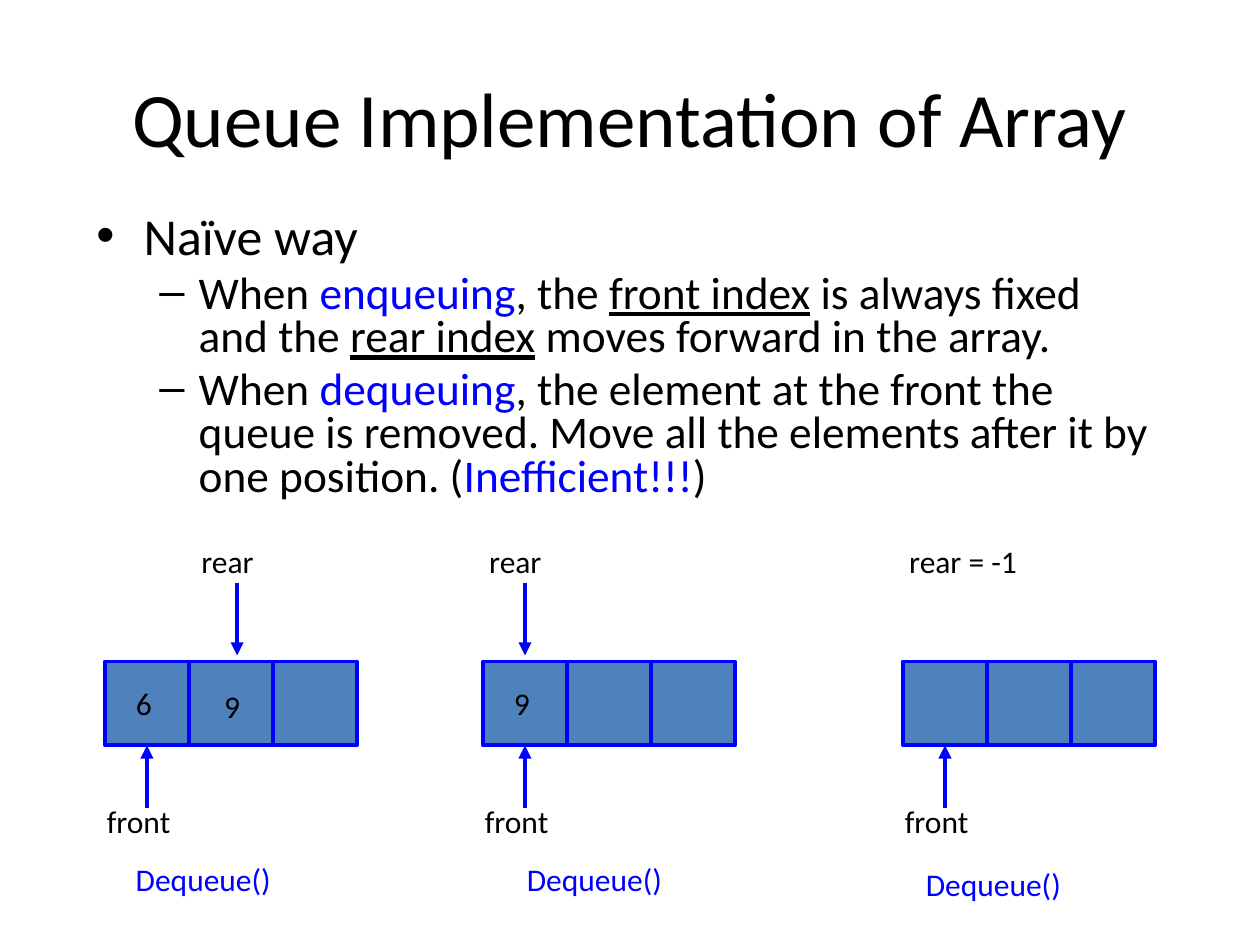
from pptx import Presentation
from pptx.dml.color import RGBColor
from pptx.enum.shapes import MSO_CONNECTOR, MSO_SHAPE
from pptx.enum.text import MSO_ANCHOR, PP_ALIGN
from pptx.oxml.ns import qn
from pptx.util import Pt
from lxml.etree import SubElement

BLACK = RGBColor(0, 0, 0)
BLUE = RGBColor(0, 0, 255)
STEEL = RGBColor(0x4F, 0x81, 0xBD)
FONT = "Calibri"
CELL = 48
TOP = 378

POINTS = [
    (0, [("Naïve way", BLACK, False)]),
    (1, [("When ", BLACK, False), ("enqueuing", BLUE, False),
         (", the ", BLACK, False), ("front index", BLACK, True),
         (" is always fixed and the ", BLACK, False),
         ("rear index", BLACK, True),
         (" moves forward in the array.", BLACK, False)]),
    (1, [("When ", BLACK, False), ("dequeuing", BLUE, False),
         (", the element at the front the queue is removed. "
          "Move all the elements after it by one position. (", BLACK, False),
         ("Inefficient!!!", BLUE, False), (")", BLACK, False)]),
]
LEVELS = [(29.6, "•", 27, -27), (25.9, "–", 58.5, -22.5)]


def add_run(para, text, size, color=BLACK, under=False):
    run = para.add_run()
    run.text = text
    font = run.font
    font.name, font.size = FONT, Pt(size)
    font.color.rgb = color
    if under:
        font.underline = True


def add_title(slide, text):
    title = slide.shapes.title
    title.left, title.top = Pt(36), Pt(21.6)
    title.width, title.height = Pt(648), Pt(90)
    frame = title.text_frame
    frame.vertical_anchor = MSO_ANCHOR.MIDDLE
    para = frame.paragraphs[0]
    para.alignment = PP_ALIGN.CENTER
    add_run(para, text, 44)


def add_frame(slide, x, y, width, height):
    box = slide.shapes.add_textbox(Pt(x), Pt(y), Pt(width), Pt(height))
    box.text_frame.word_wrap = True
    return box.text_frame


def add_points(slide):
    frame = add_frame(slide, 48, 120, 618, 180)
    for i, (level, runs) in enumerate(POINTS):
        para = frame.add_paragraph() if i else frame.paragraphs[0]
        size, mark, margin, indent = LEVELS[level]
        para.level = level
        para.line_spacing = 0.8
        if i:
            para.space_before = Pt(5)
        props = para._p.get_or_add_pPr()
        props.set("marL", str(Pt(margin)))
        props.set("indent", str(Pt(indent)))
        SubElement(props, qn("a:buFont")).set("typeface", "Arial")
        SubElement(props, qn("a:buChar")).set("char", mark)
        for text, color, under in runs:
            add_run(para, text, size, color, under)


def add_label(slide, text, x, y, width=78, color=BLACK):
    frame = add_frame(slide, x, y, width, 31)
    add_run(frame.paragraphs[0], text, 18, color)


def add_arrow(slide, x, start, end):
    arrow = slide.shapes.add_connector(
        MSO_CONNECTOR.STRAIGHT, Pt(x), Pt(start), Pt(x), Pt(end))
    arrow.line.color.rgb = BLUE
    arrow.line.width = Pt(2.5)
    line = arrow.line._get_or_add_ln()
    SubElement(line, qn("a:tailEnd")).set("type", "triangle")
    SubElement(arrow._element.spPr, qn("a:effectLst"))


def add_cell(slide, x):
    cell = slide.shapes.add_shape(
        MSO_SHAPE.RECTANGLE, Pt(x), Pt(TOP), Pt(CELL), Pt(CELL))
    cell.shadow.inherit = False
    cell.fill.solid()
    cell.fill.fore_color.rgb = STEEL
    cell.line.color.rgb = BLUE
    cell.line.width = Pt(2.25)


def add_queue(slide, x, values):
    for i in range(3):
        add_cell(slide, x + i * CELL)
    for text, left, y in values:
        add_label(slide, text, x + left, y, 24)
    add_label(slide, "front", x - 6, 455)
    add_arrow(slide, x + CELL / 2, 462, TOP + CELL)


def add_rear(slide, x, tip):
    add_label(slide, "rear", x, 306)
    add_arrow(slide, tip, 333, 374.5)


def main():
    deck = Presentation()
    deck.slide_width, deck.slide_height = Pt(720), Pt(540)
    slide = deck.slides.add_slide(deck.slide_layouts[5])
    add_title(slide, "Queue Implementation of Array")
    add_points(slide)
    add_queue(slide, 60, [("6", 10.5, 387.5), ("9", 61, 389)])
    add_queue(slide, 276, [("9", 10.5, 387.5)])
    add_queue(slide, 516, [])
    add_rear(slide, 108, 135.5)
    add_rear(slide, 272.5, 300)
    add_label(slide, "rear = -1", 512.5, 306, 93.5)
    for x, y in [(70.5, 488), (294, 488), (522, 491)]:
        add_label(slide, "Dequeue()", x, y, 139, BLUE)
    deck.save("out.pptx")


main()
